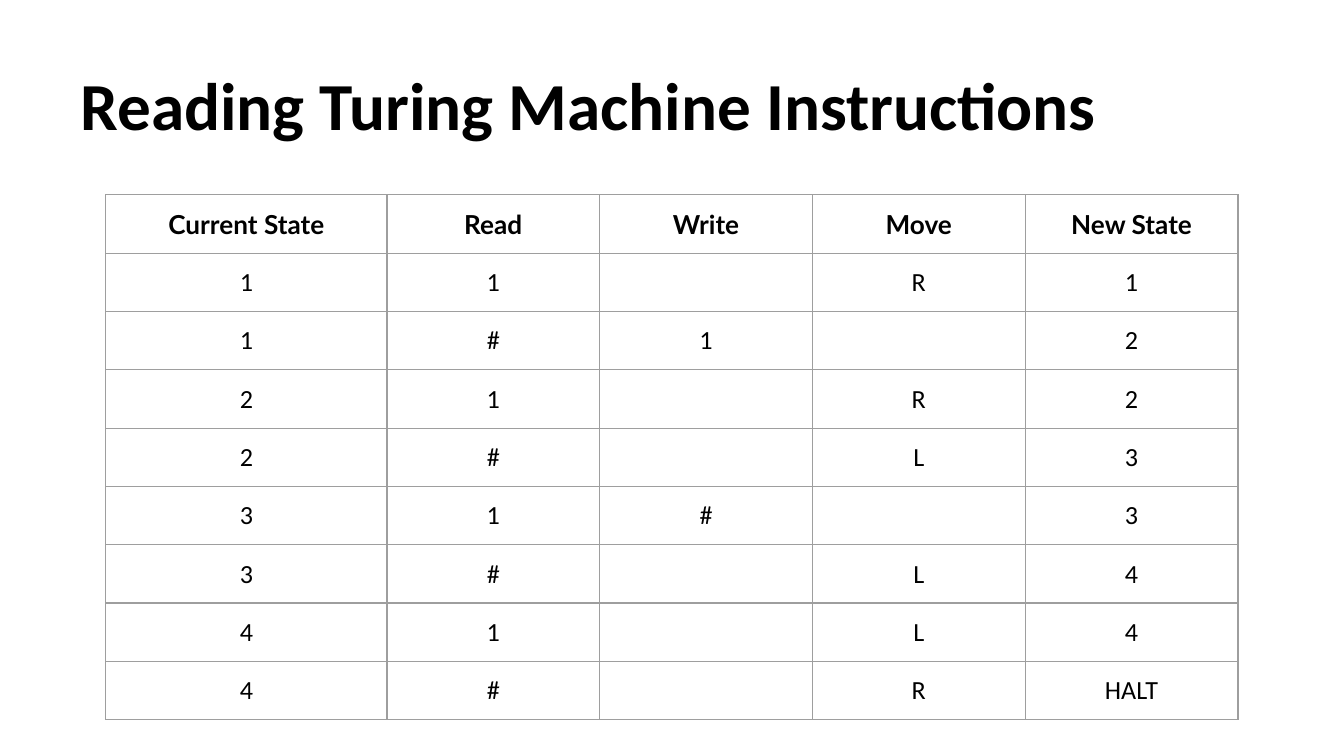
"""Build the slide that lists the instructions of a Turing machine."""
import lxml.etree
import pptx
import pptx.dml.color
import pptx.enum.text
import pptx.oxml.ns
import pptx.util

Pt = pptx.util.Pt

TITLE = "Reading Turing Machine Instructions"
HEADINGS = ("Current State", "Read", "Write", "Move", "New State")
INSTRUCTIONS = [
    ("1", "1", "", "R", "1"),
    ("1", "#", "1", "", "2"),
    ("2", "1", "", "R", "2"),
    ("2", "#", "", "L", "3"),
    ("3", "1", "#", "", "3"),
    ("3", "#", "", "L", "4"),
    ("4", "1", "", "L", "4"),
    ("4", "#", "", "R", "HALT"),
]
COLUMN_WIDTHS = (150.6, 114, 114, 114, 114)
ROW_HEIGHT = 30.2
TABLE_LEFT, TABLE_TOP = 56.7, 104.4
CELL_SIZE = 14
MARGIN = 7.2
BLACK, WHITE, GREY = "000000", "FFFFFF", "9E9E9E"


def color(hex_string):
    return pptx.dml.color.RGBColor.from_string(hex_string)


def set_margins(target):
    for side in ("left", "right", "top", "bottom"):
        setattr(target, f"margin_{side}", Pt(MARGIN))


def format_runs(paragraph, font_name, size, bold):
    for run in paragraph.runs:
        run.font.name = font_name
        run.font.size = Pt(size)
        run.font.bold = bold
        run.font.color.rgb = color(BLACK)


def add_borders(cell):
    properties = cell._tc.get_or_add_tcPr()
    qualified = pptx.oxml.ns.qn
    for side in "LRTB":
        line = lxml.etree.SubElement(properties, qualified(f"a:ln{side}"), w=str(Pt(0.75)))
        fill = lxml.etree.SubElement(line, qualified("a:solidFill"))
        lxml.etree.SubElement(fill, qualified("a:srgbClr"), val=GREY)


def fill_cell(cell, text, is_heading):
    add_borders(cell)
    cell.fill.solid()
    cell.fill.fore_color.rgb = color(WHITE)
    set_margins(cell)
    paragraph = cell.text_frame.paragraphs[0]
    paragraph.text = text
    paragraph.alignment = pptx.enum.text.PP_ALIGN.CENTER
    format_runs(paragraph, "Lato" if is_heading else "Calibri", CELL_SIZE, is_heading)
    if not text:
        end = pptx.oxml.ns.qn("a:endParaRPr")
        lxml.etree.SubElement(paragraph._p, end, sz=str(CELL_SIZE * 100))


def add_title(slide):
    box = slide.shapes.add_textbox(Pt(36), Pt(16.6), Pt(648), Pt(67.7))
    frame = box.text_frame
    frame.word_wrap = True
    frame.vertical_anchor = pptx.enum.text.MSO_ANCHOR.BOTTOM
    set_margins(frame)
    frame.text = TITLE
    format_runs(frame.paragraphs[0], "Calibri", 36, True)


def add_instruction_table(slide):
    rows = [HEADINGS, *INSTRUCTIONS]
    table = slide.shapes.add_table(
        len(rows), len(HEADINGS), Pt(TABLE_LEFT), Pt(TABLE_TOP),
        Pt(sum(COLUMN_WIDTHS)), Pt(ROW_HEIGHT * len(rows)),
    ).table
    table.first_row = False
    table.horz_banding = False
    for column, width in zip(table.columns, COLUMN_WIDTHS):
        column.width = Pt(width)
    for row_index, texts in enumerate(rows):
        table.rows[row_index].height = Pt(ROW_HEIGHT)
        for column_index, text in enumerate(texts):
            fill_cell(table.cell(row_index, column_index), text, row_index == 0)


def main():
    presentation = pptx.Presentation()
    presentation.slide_width = Pt(720)
    presentation.slide_height = Pt(405)
    slide = presentation.slides.add_slide(presentation.slide_layouts[6])
    add_title(slide)
    add_instruction_table(slide)
    presentation.save("out.pptx")


if __name__ == "__main__":
    main()
